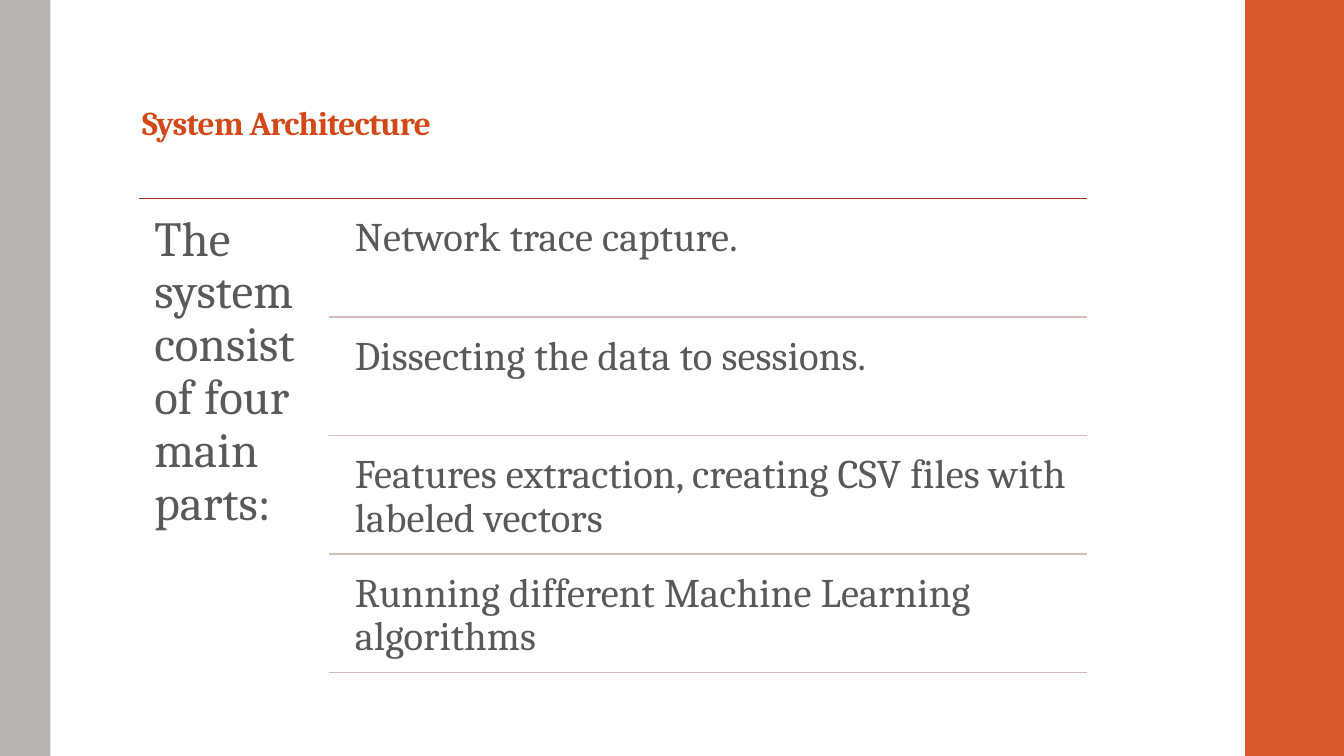
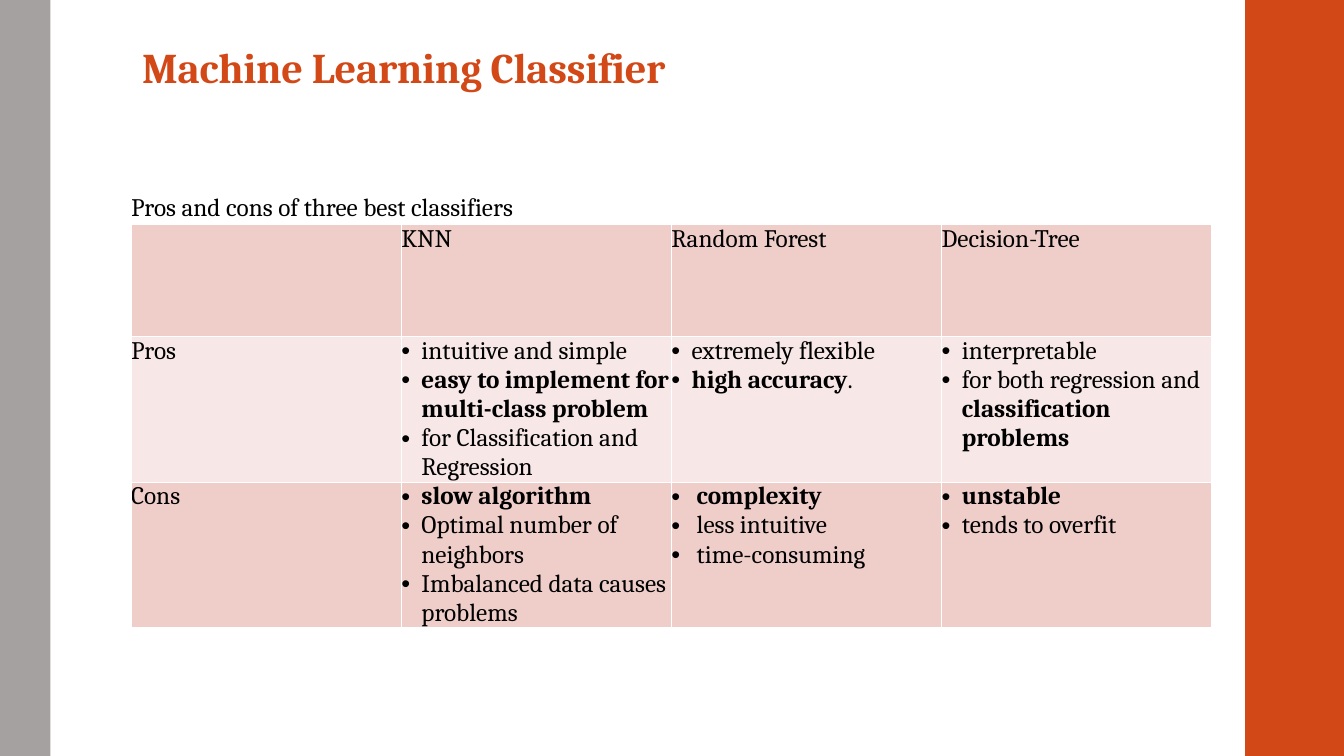
from lxml.etree import SubElement
from pptx import Presentation
from pptx.dml.color import RGBColor
from pptx.enum.shapes import MSO_CONNECTOR, MSO_SHAPE
from pptx.enum.text import MSO_ANCHOR, MSO_AUTO_SIZE, PP_ALIGN
from pptx.oxml.ns import qn
from pptx.util import Inches, Pt

# Content: *asterisks* mark bold words
ARCHITECTURE_TITLE = "System Architecture"
ARCHITECTURE_INTRO = "The system consist of four main parts:"
ARCHITECTURE_PARTS = [
    "Network trace capture.",
    "Dissecting the data to sessions.",
    "Features extraction, creating CSV files with labeled vectors",
    "Running different Machine Learning algorithms",
]
CLASSIFIER_TITLE = "Machine Learning Classifier"
TABLE_CAPTION = "Pros and cons of three best classifiers"
CLASSIFIER_ROWS = [
    ["", "KNN", "Random Forest", "Decision-Tree"],
    ["Pros",
     ["intuitive and simple", "*easy to implement for multi-class problem*",
      "for Classification and Regression"],
     ["extremely flexible", "*high accuracy*."],
     ["interpretable", "for both regression and *classification problems*"]],
    ["Cons",
     ["*slow algorithm*", "Optimal number of neighbors",
      "Imbalanced data causes problems"],
     ["*complexity*", "less intuitive", "time-consuming"],
     ["*unstable*", "tends to overfit"]],
]

# Shared style
FONT = "Cambria"
ORANGE = RGBColor(0xD3, 0x48, 0x17)
GREY = RGBColor(0xA6, 0xA1, 0xA1)
WHITE = RGBColor(0xFF, 0xFF, 0xFF)
BLACK = RGBColor(0, 0, 0)
TEXT_GREY = RGBColor(0x59, 0x59, 0x59)
DARK_RED = RGBColor(0x9B, 0x2D, 0x1F)
PALE_RED = RGBColor(0xD4, 0xBC, 0xBB)
ROW_FILLS = [RGBColor(0xEF, 0xCE, 0xCA), RGBColor(0xF7, 0xE8, 0xE7)]

WIDTH, HEIGHT = 13.33, 7.5
LEFT_BAND = (0, 0.5)
RIGHT_BAND = (12.35, 0.98)
CONTENT_LEFT = 1.38


def add_band(slide, span, color, opacity=100):
    """Full-height rectangle; span is (left, width)."""
    left, width = span
    band = slide.shapes.add_shape(MSO_SHAPE.RECTANGLE, Inches(left), 0,
                                  Inches(width), Inches(HEIGHT))
    band.shadow.inherit = False
    band.line.fill.background()
    band.fill.solid()
    band.fill.fore_color.rgb = color
    if opacity < 100:
        color_element = band.element.spPr.find(".//" + qn("a:srgbClr"))
        SubElement(color_element, qn("a:alpha"), val=str(opacity * 1000))
    return band


def style_run(run, size, color, bold=False, spacing=0):
    run.font.name, run.font.size = FONT, Pt(size)
    run.font.bold, run.font.color.rgb = bold, color
    if spacing:
        run.font._element.set("spc", str(round(spacing * 100)))


def set_margins(frame, left, top, right, bottom):
    frame.margin_left, frame.margin_top = Inches(left), Inches(top)
    frame.margin_right, frame.margin_bottom = Inches(right), Inches(bottom)


def set_title(slide, text, size, bottom_margin, line_spacing, spacing):
    title = slide.shapes.title
    title.left, title.top = Inches(CONTENT_LEFT), Inches(0.32)
    title.width, title.height = Inches(10.6), Inches(1.5)
    frame = title.text_frame
    frame.text = text
    frame.auto_size = MSO_AUTO_SIZE.NONE
    frame.vertical_anchor = MSO_ANCHOR.BOTTOM
    set_margins(frame, 0.03, 0.03, 0.03, bottom_margin)
    paragraph = frame.paragraphs[0]
    paragraph.alignment = PP_ALIGN.LEFT
    paragraph.line_spacing = line_spacing
    style_run(paragraph.runs[0], size, ORANGE, True, spacing)


def add_text(slide, text, box, size, margin, space_before):
    text_box = slide.shapes.add_textbox(*(Inches(value) for value in box))
    frame = text_box.text_frame
    frame.text = text
    frame.word_wrap = True
    frame.auto_size = MSO_AUTO_SIZE.SHAPE_TO_FIT_TEXT
    set_margins(frame, *[margin] * 4)
    paragraph = frame.paragraphs[0]
    paragraph.line_spacing = 0.9
    paragraph.space_before = Pt(space_before)
    style_run(paragraph.runs[0], size, TEXT_GREY, spacing=0.1)


def add_rule(slide, left, right, y, color):
    rule = slide.shapes.add_connector(MSO_CONNECTOR.STRAIGHT, Inches(left),
                                      Inches(y), Inches(right), Inches(y))
    rule.line.color.rgb, rule.line.width = color, Pt(1.1)
    SubElement(rule.element.spPr, qn("a:effectLst"))


def add_bullet(paragraph, indent):
    properties = paragraph._p.get_or_add_pPr()
    properties.set("marL", str(Inches(indent)))
    properties.set("indent", str(-Inches(indent)))
    SubElement(properties, qn("a:buFont"), typeface="Arial")
    SubElement(properties, qn("a:buChar"), char="•")


def add_borders(cell):
    properties = cell._tc.get_or_add_tcPr()
    for position, side in enumerate(("a:lnL", "a:lnR", "a:lnT", "a:lnB")):
        line = SubElement(properties, qn(side), w=str(Pt(1)))
        fill = SubElement(line, qn("a:solidFill"))
        SubElement(fill, qn("a:srgbClr"), val=str(WHITE))
        properties.insert(position, line)


def fill_cell(cell, content, fill=None, indent=0.2):
    """A string is plain text; a list becomes bullets."""
    set_margins(cell, 0, 0, 0, 0)
    if fill is None:
        cell.fill.background()
    else:
        cell.fill.solid()
        cell.fill.fore_color.rgb = fill
    add_borders(cell)
    bulleted = isinstance(content, list)
    frame = cell.text_frame
    for index, text in enumerate(content if bulleted else [content]):
        paragraph = frame.add_paragraph() if index else frame.paragraphs[0]
        if bulleted:
            add_bullet(paragraph, indent)
        for part, words in enumerate(text.split("*")):
            if words:
                run = paragraph.add_run()
                run.text = words
                style_run(run, 18, BLACK, bold=part % 2 == 1)


def build_architecture(slide):
    # Lighter bands over a white sheet, with the title on top
    add_band(slide, (0, WIDTH), WHITE)
    add_band(slide, LEFT_BAND, GREY, 80)
    add_band(slide, RIGHT_BAND, ORANGE, 90)
    set_title(slide, ARCHITECTURE_TITLE, 23.8, 0.4, 0.9, -0.5)
    slide.shapes.element.append(slide.shapes.title.element)

    # Introduction on the left, ruled list on the right
    top, right, pitch = 1.97, 10.78, 1.175
    list_left, text_left = 3.26, 3.4
    add_rule(slide, CONTENT_LEFT, right, top, DARK_RED)
    add_text(slide, ARCHITECTURE_INTRO,
             (CONTENT_LEFT, top, list_left - CONTENT_LEFT, 3.58), 35, 0.15, 14)
    for index, part in enumerate(ARCHITECTURE_PARTS):
        row_top = top + index * pitch
        add_text(slide, part, (text_left, row_top + 0.06, right - text_left, 0.73),
                 29, 0.12, 12)
        add_rule(slide, list_left, right, row_top + pitch, PALE_RED)


def build_classifiers(slide):
    set_title(slide, CLASSIFIER_TITLE, 30.2, 0.91, 0.85, -0.2)

    # Caption row above the comparison
    row_heights = [0.31, 1.11, 1.44, 1.44]
    column_count, column_width = len(CLASSIFIER_ROWS[0]), 2.68
    table = slide.shapes.add_table(
        len(row_heights), column_count, Inches(1.3), Inches(1.92),
        Inches(column_count * column_width), Inches(sum(row_heights))).table
    table.first_row = table.horz_banding = False
    for column in table.columns:
        column.width = Inches(column_width)
    for row, height in zip(table.rows, row_heights):
        row.height = Inches(height)
    table.cell(0, 0).merge(table.cell(0, column_count - 1))
    fill_cell(table.cell(0, 0), TABLE_CAPTION)
    for row, contents in enumerate(CLASSIFIER_ROWS):
        for column, content in enumerate(contents):
            indent = 0.25 if (row, column) == (2, 2) else 0.2
            fill_cell(table.cell(row + 1, column), content,
                      ROW_FILLS[row % 2], indent)


def main():
    presentation = Presentation()
    presentation.slide_width = Inches(WIDTH)
    presentation.slide_height = Inches(HEIGHT)
    title_only = presentation.slide_layouts[5]
    architecture = presentation.slides.add_slide(title_only)
    classifiers = presentation.slides.add_slide(title_only)

    # Side bands belong to the master, behind everything
    master_shapes = presentation.slide_master.shapes.element
    for span, color in ((LEFT_BAND, GREY), (RIGHT_BAND, ORANGE)):
        master_shapes.insert(2, add_band(architecture, span, color).element)

    build_architecture(architecture)
    build_classifiers(classifiers)
    presentation.save("out.pptx")


if __name__ == "__main__":
    main()
